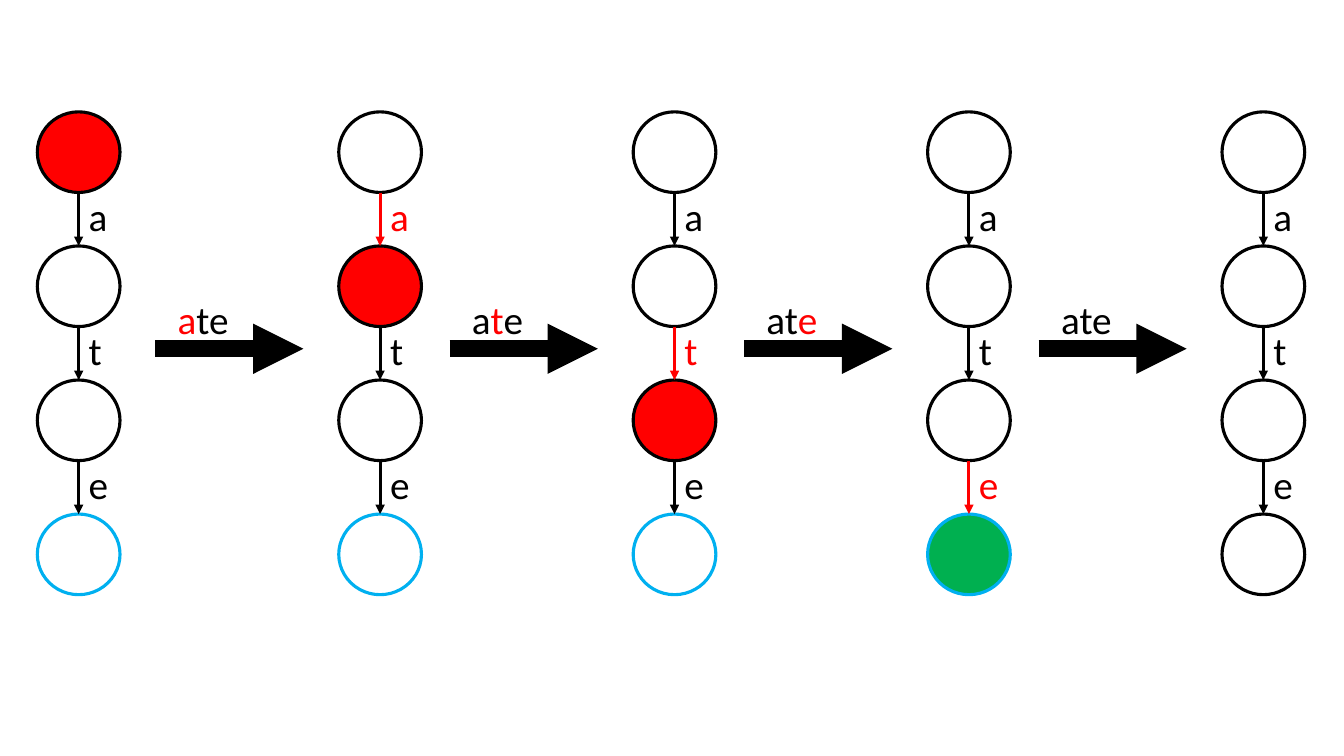
from lxml import etree
from pptx import Presentation
from pptx.dml.color import RGBColor
from pptx.enum.shapes import MSO_CONNECTOR, MSO_SHAPE
from pptx.enum.text import MSO_AUTO_SIZE, PP_ALIGN
from pptx.oxml.ns import qn
from pptx.util import Inches, Pt

BLACK = RGBColor(0x00, 0x00, 0x00)
RED = RGBColor(0xFF, 0x00, 0x00)
GREEN = RGBColor(0x00, 0xB0, 0x50)
BLUE = RGBColor(0x00, 0xB0, 0xF0)

# Grid in inches: one column per automaton, one row per state
WORD = "ate"
STEPS = 5
COLUMN_PITCH, ROW_PITCH = 2.92, 1.33
LAST_CENTER = 12.53
FIRST_SHIFT = -0.07  # the first automaton stands slightly further left
STATE_TOP, STATE_WIDTH, STATE_HEIGHT = 1.11, 0.82, 0.8
EDGE_LENGTH = ROW_PITCH - STATE_HEIGHT
LABEL_TOP, LABEL_WIDTH, LABEL_HEIGHT = 1.86, 0.35, 0.57
STEP_LEFT, STEP_Y, STEP_LENGTH = 1.54, 3.46, 1.47
WORD_TOP, WORD_WIDTH = 2.88, 0.95


def add_state(slide, center, top, outline, fill=None):
    state = slide.shapes.add_shape(
        MSO_SHAPE.OVAL, Inches(center - STATE_WIDTH / 2), Inches(top),
        Inches(STATE_WIDTH), Inches(STATE_HEIGHT))
    state.shadow.inherit = False
    state.line.color.rgb = outline
    state.line.width = Pt(2.25)
    if fill is None:
        state.fill.background()
    else:
        state.fill.solid()
        state.fill.fore_color.rgb = fill


def add_arrow(slide, start, end, color, width):
    points = [Inches(value) for value in (*start, *end)]
    arrow = slide.shapes.add_connector(MSO_CONNECTOR.STRAIGHT, *points)
    arrow.line.color.rgb = color
    arrow.line.width = Pt(width)
    properties = arrow.element.spPr
    head = etree.SubElement(properties.find(qn("a:ln")), qn("a:tailEnd"))
    head.set("type", "triangle")
    etree.SubElement(properties, qn("a:effectLst"))


def add_letters(slide, left, top, width, letters, align):
    """Write (text, color) pairs in one paragraph."""
    box = slide.shapes.add_textbox(
        Inches(left), Inches(top), Inches(width), Inches(LABEL_HEIGHT))
    frame = box.text_frame
    frame.word_wrap = True
    frame.auto_size = MSO_AUTO_SIZE.SHAPE_TO_FIT_TEXT
    paragraph = frame.paragraphs[0]
    paragraph.alignment = align
    for text, color in letters:
        run = paragraph.add_run()
        run.text = text
        run.font.name = "Calibri"
        run.font.size = Pt(28)
        run.font.color.rgb = color


def add_automaton(slide, step):
    """Draw the chain of states after reading `step` letters."""
    center = LAST_CENTER - (STEPS - 1 - step) * COLUMN_PITCH
    if step == 0:
        center += FIRST_SHIFT
    final = len(WORD)

    # States: the current one is filled, the accepting one is outlined blue
    for row in range(final + 1):
        fill = None
        if row == step:
            fill = GREEN if row == final else RED
        accepting = row == final and step < STEPS - 1
        add_state(slide, center, STATE_TOP + row * ROW_PITCH,
                  BLUE if accepting else BLACK, fill)

    # Transitions: the one just taken is red
    for row, letter in enumerate(WORD):
        color = RED if row == step - 1 else BLACK
        top = STATE_TOP + STATE_HEIGHT + row * ROW_PITCH
        add_arrow(slide, (center, top), (center, top + EDGE_LENGTH), color, 2.25)
        add_letters(slide, center, LABEL_TOP + row * ROW_PITCH, LABEL_WIDTH,
                    [(letter, color)], PP_ALIGN.LEFT)


def add_step(slide, step):
    """Draw the thick arrow to the next automaton, with its letter in red."""
    left = STEP_LEFT + step * COLUMN_PITCH
    add_arrow(slide, (left, STEP_Y), (left + STEP_LENGTH, STEP_Y), BLACK, 12)
    letters = [(letter, RED if index == step else BLACK)
               for index, letter in enumerate(WORD)]
    add_letters(slide, left, WORD_TOP, WORD_WIDTH, letters, PP_ALIGN.CENTER)


def main():
    presentation = Presentation()
    presentation.slide_width = Inches(13.33)
    presentation.slide_height = Inches(7.5)
    slide = presentation.slides.add_slide(presentation.slide_layouts[6])

    for step in range(STEPS):
        add_automaton(slide, step)
        if step < STEPS - 1:
            add_step(slide, step)

    presentation.save("out.pptx")


main()
